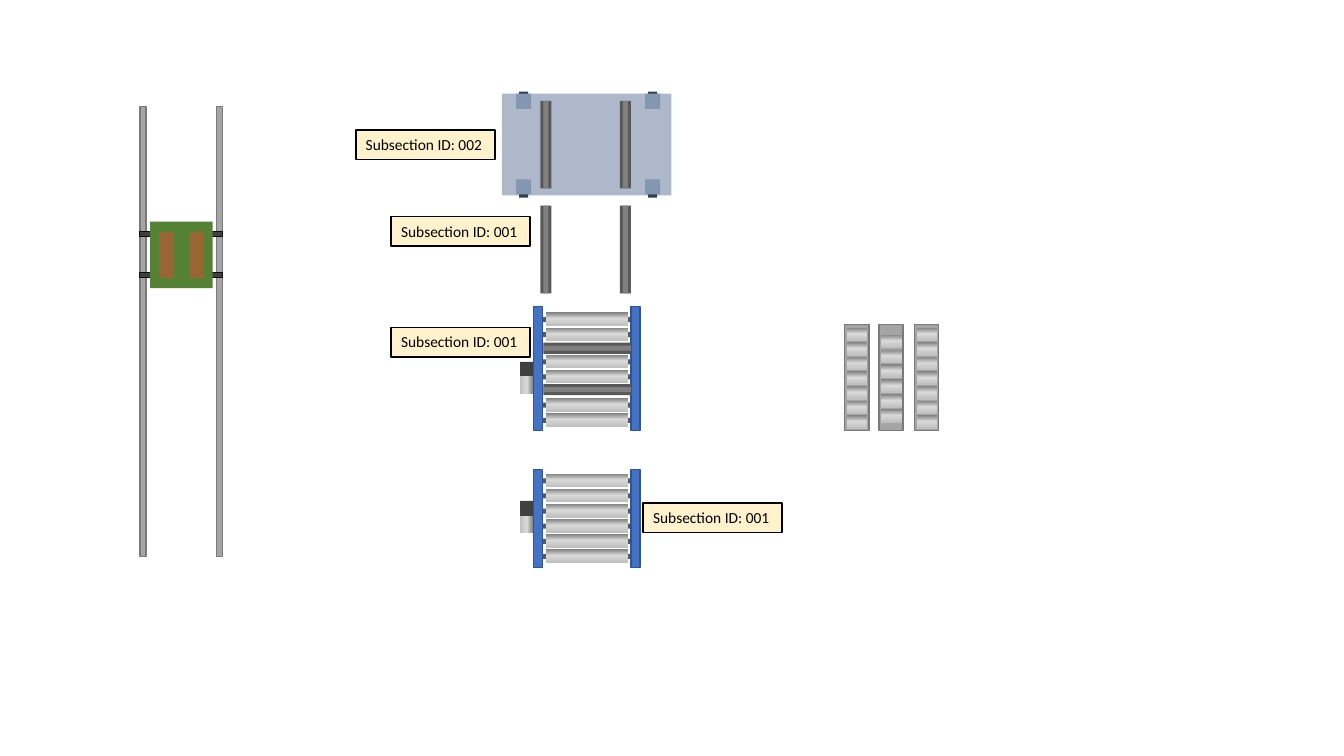
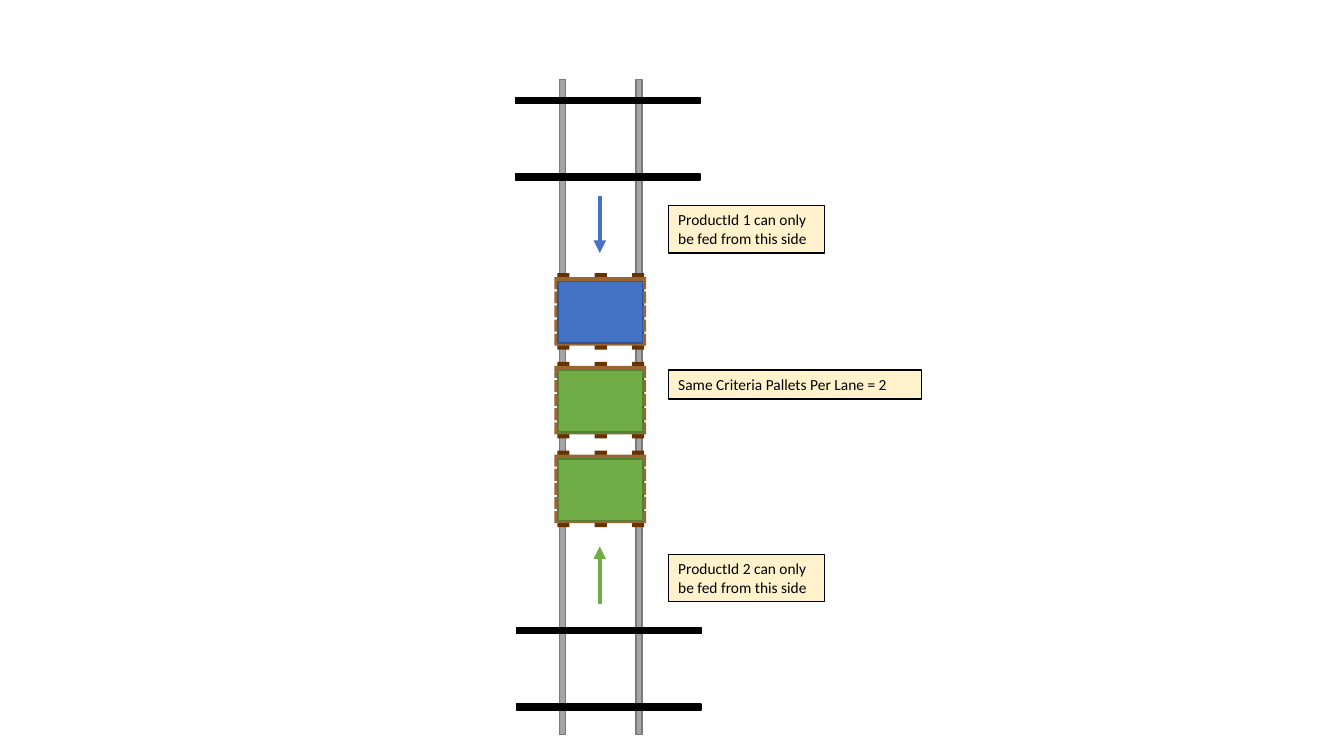
from copy import deepcopy

from pptx import Presentation
from pptx import util as u
from pptx.dml.color import RGBColor
from pptx.enum import shapes, text
from pptx.oxml import ns, xmlchemy

CELL = u.Inches(0.1)
GREY, SLATE, MID, COAL = "A5A5A5", "595959", "808080", "404040"
BLACK, CREAM = "000000", "FFF2CC"
BLUE, GREEN, WOOD, BARK = "4472C4", "70AD47", "996633", "663300"
EDGE = {GREY: "7A7A7A", BLUE: "325491", GREEN: "538035", COAL: "0D0D0D", BLACK: BLACK}
STEEL = ((0, MID), (0.47, "D9D9D9"), (1, "BFBFBF"))


def cells(*counts):
    return [u.Emu(round(n * CELL)) for n in counts]


def tint(code):
    return RGBColor.from_string(code)


class Deck:
    """Draws conveyor plans on a grid of tenth-inch columns and rows."""

    def __init__(self):
        self.file = Presentation()
        self.file.slide_width, self.file.slide_height = cells(133.33, 75)

    def page(self):
        self.slide = self.file.slides.add_slide(self.file.slide_layouts[6])
        self.loose()

    def loose(self):
        self.layer = self.slide.shapes

    def group(self):
        self.layer = self.slide.shapes.add_group_shape().shapes

    def rect(self, x, y, w, h, fill, edge=False):
        box = self.layer.add_shape(shapes.MSO_SHAPE.RECTANGLE, *cells(x, y, w, h))
        box.shadow.inherit = False
        box.fill.solid()
        box.fill.fore_color.rgb = tint(fill)
        if edge:
            box.line.color.rgb = tint(EDGE[fill])
            box.line.width = u.Pt(1)
        else:
            box.line.fill.background()
        return box

    def metal(self, x, y, w, h, angle=270):
        box = self.rect(x, y, w, h, MID)
        box.fill.gradient()
        box.fill.gradient_angle = angle
        stops = box.element.spPr.find(".//" + ns.qn("a:gsLst"))
        stops.append(deepcopy(stops[0]))
        for stop, (place, code) in zip(box.fill.gradient_stops, STEEL):
            stop.position = place
            stop.color.rgb = tint(code)

    def label(self, x, y, words, w=13.8, h=2.9):
        box = self.layer.add_textbox(*cells(x, y, w, h))
        box.fill.solid()
        box.fill.fore_color.rgb = tint(CREAM)
        box.line.color.rgb = tint(BLACK)
        box.line.width = u.Pt(1)
        frame = box.text_frame
        frame.word_wrap = True
        frame.auto_size = text.MSO_AUTO_SIZE.SHAPE_TO_FIT_TEXT
        frame.text = words
        font = frame.paragraphs[0].font
        font.name, font.size = "Calibri", u.Pt(11)
        font.color.rgb = tint(BLACK)

    def arrow(self, x, start, end, code):
        line = self.layer.add_connector(
            shapes.MSO_CONNECTOR.STRAIGHT, *cells(x, start, x, end))
        line.line.color.rgb = tint(code)
        line.line.width = u.Pt(3)
        tip = xmlchemy.OxmlElement("a:tailEnd")
        tip.set("type", "triangle")
        line.element.spPr.find(ns.qn("a:ln")).append(tip)
        line.element.spPr.append(xmlchemy.OxmlElement("a:effectLst"))

    def rails(self, x, y, h):
        self.group()
        for left in (x, x + 7.6):
            self.rect(left, y, 0.6, h, GREY, True)

    def beams(self, x, y):
        self.group()
        for top in (y, y + 7.6):
            self.rect(x, top, 18.3, 0.6, BLACK, True)

    def shuttle(self, x, y):
        self.group()
        for top in (y + 5.05, y + 0.95):
            self.rect(x - 1.05, top, 8.2, 0.5, COAL, True)
        self.rect(x, y, 6.2, 6.6, "548235")
        for left in (x + 0.9, x + 3.9):
            self.rect(left, y + 1, 1.4, 4.6, WOOD)

    def chains(self, y):
        for x in (61.5, 53.6):
            self.rect(x, y, 1.1, 8.7, SLATE)
            self.rect(x + 0.3, y, 0.5, 8.7, MID)

    def belt(self, y, h, motor, rolls, bars=()):
        self.group()
        self.rect(51.6, motor, 1.3, 1.5, COAL)
        self.metal(51.6, motor + 1.45, 1.3, 1.7, 180)
        for top in rolls:
            self.rect(53.4, top + 0.45, 9.7, 0.5, SLATE)
            self.metal(54.15, top, 8.2, 1.3)
        for x in (62.6, 52.9):
            self.rect(x, y, 0.9, h, BLUE, True)
        for top in bars:
            self.rect(53.9, top, 8.7, 1.1, SLATE)
            self.rect(53.9, top + 0.3, 8.7, 0.5, MID)

    def table(self, x, y):
        self.group()
        self.rect(x, y, 16.8, 10.1, "ADB9CA")
        self.chains(y + 0.7)
        for left in (x + 14.2, x + 1.4):
            for cap, pad in ((-0.2, 0), (9.8, 8.5)):
                self.rect(left + 0.3, y + cap, 0.9, 0.5, "333F50")
                self.rect(left, y + pad, 1.5, 1.5, "8497B0")

    def rack(self, x, y, count, first, pitch):
        self.rect(x, y, 2.4, 10.5, GREY, True)
        for i in range(count):
            self.metal(x + 0.25, y + first + i * pitch, 2, 1.3)

    def pallet(self, x, y, load):
        self.group()
        for i in range(3):
            self.rect(x + 0.3 + 3.7 * i, y - 0.4, 1.2, 7.6, BARK)
        for i in range(5):
            self.rect(x, y + 1.4 * i, 9.1, 1.2, WOOD)
        self.rect(x + 0.35, y + 0.45, 8.4, 6.1, load, True)


def plan(deck):
    deck.page()
    deck.rails(13.9, 10.6, 44.6)
    deck.shuttle(14.9, 22)
    deck.belt(46.6, 9.7, 49.7, [47 + 1.5 * i for i in range(6)])
    deck.label(63.8, 49.9, "Subsection ID: 001")
    pairs = [top + step for top in (31, 35.2, 39.5) for step in (0, 1.5)]
    deck.belt(30.4, 12.3, 35.9, pairs, (34, 38.1))
    deck.label(38.8, 32.5, "Subsection ID: 001")
    deck.group()
    deck.chains(20.4)
    deck.label(38.8, 21.5, "Subsection ID: 001")
    deck.table(49.8, 9.3)
    deck.label(35.3, 12.9, "Subsection ID: 002")
    deck.group()
    for x in (90.7, 83.8):
        deck.rack(x, 32.2, 7, 0.3, 1.45)
    deck.rack(87.2, 32.2, 6, 1, 1.48)


def lane(deck):
    deck.page()
    deck.rails(55.5, 7.9, 65)
    deck.beams(51.25, 62.25)
    deck.beams(51.15, 9.65)
    for i, load in enumerate((BLUE, GREEN, GREEN)):
        deck.pallet(55, 27.5 + 8.8 * i, load)
    deck.loose()
    for y, item in ((20.4, 1), (55, 2)):
        deck.label(66.3, y, f"ProductId {item} can only be fed from this side", 15.5, 4.7)
    deck.label(66.3, 36.7, "Same Criteria Pallets Per Lane = 2", 25.1)
    deck.arrow(59.5, 19.4, 25.1, BLUE)
    deck.arrow(59.5, 59.9, 54.2, GREEN)


def main():
    deck = Deck()
    plan(deck)
    lane(deck)
    deck.file.save("out.pptx")


if __name__ == "__main__":
    main()
